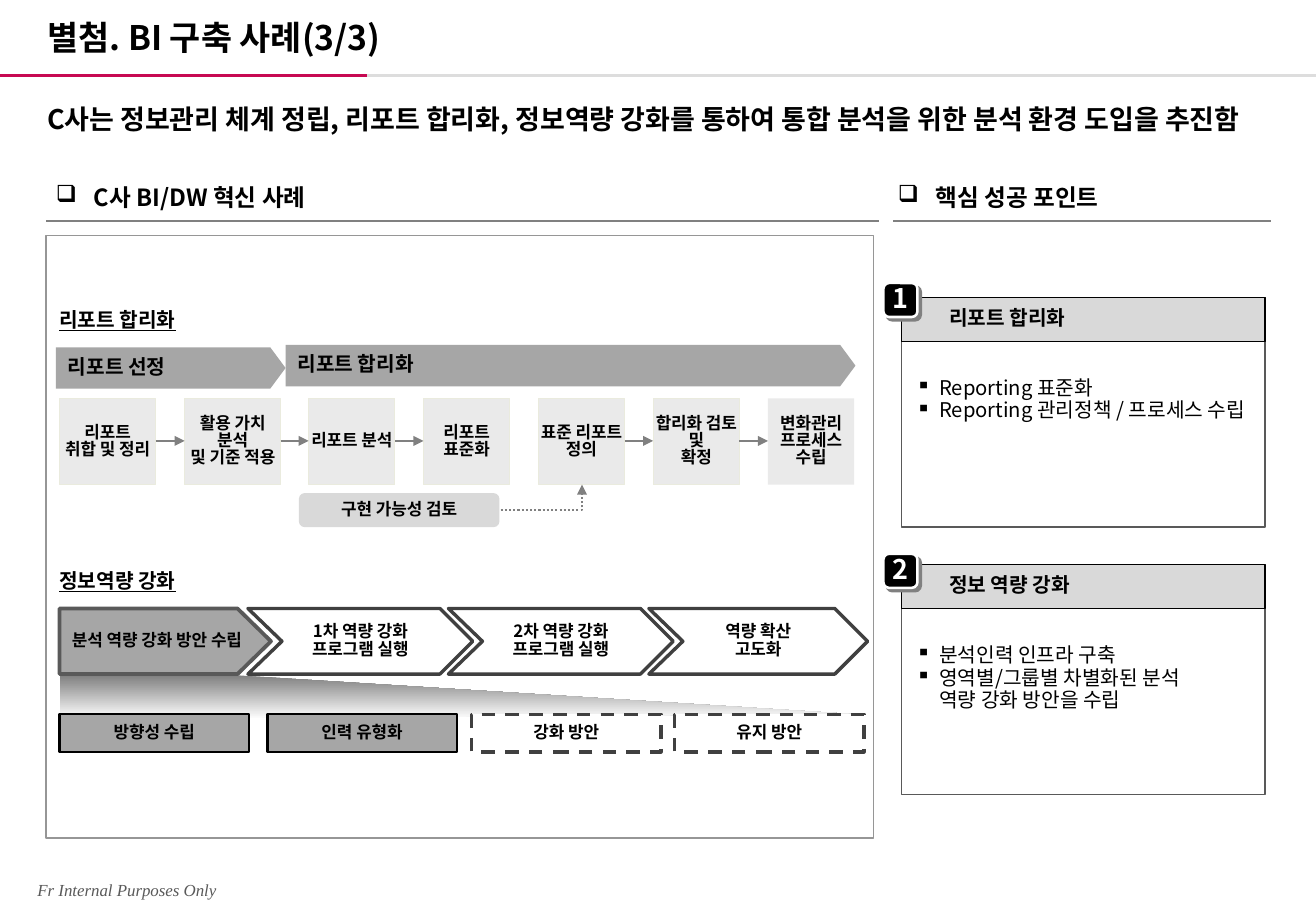
"""Build a slide on a BI case study with process flows and success points."""
from lxml import etree
from pptx import Presentation
from pptx.dml.color import RGBColor
from pptx.enum.dml import MSO_LINE
from pptx.enum.shapes import MSO_CONNECTOR, MSO_SHAPE
from pptx.enum.text import MSO_ANCHOR, PP_ALIGN
from pptx.oxml.ns import qn
from pptx.util import Inches, Pt

RECT, ROUND, PLATE = MSO_SHAPE.RECTANGLE, MSO_SHAPE.ROUNDED_RECTANGLE, MSO_SHAPE.PENTAGON
STRAIGHT, ELBOW = MSO_CONNECTOR.STRAIGHT, MSO_CONNECTOR.ELBOW
DASH, DOT = MSO_LINE.DASH, MSO_LINE.ROUND_DOT
TOP, MIDDLE, BOTTOM = MSO_ANCHOR.TOP, MSO_ANCHOR.MIDDLE, MSO_ANCHOR.BOTTOM
LEFT, CENTER, JUSTIFY = PP_ALIGN.LEFT, PP_ALIGN.CENTER, PP_ALIGN.JUSTIFY

BLACK = RGBColor(0x00, 0x00, 0x00)
WHITE = RGBColor(0xFF, 0xFF, 0xFF)
RED = RGBColor(0xC7, 0x09, 0x52)
DARK = RGBColor(0x40, 0x40, 0x40)
SLATE = RGBColor(0x59, 0x59, 0x59)
GRAY = RGBColor(0x80, 0x80, 0x80)
FRAME = RGBColor(0x96, 0x96, 0x96)
STEEL = RGBColor(0xA6, 0xA6, 0xA6)
SILVER = RGBColor(0xD9, 0xD9, 0xD9)
RULE = RGBColor(0xDD, 0xDD, 0xDD)
PALE = RGBColor(0xEA, 0xEA, 0xEA)
CREAM = RGBColor(0xEA, 0xEB, 0xDE)
SANS, SERIF = "Noto Sans CJK KR", "Times New Roman"


def write(frame, text, size=10, bold=True, color=BLACK, font=SANS, align=LEFT,
          anchor=TOP, inset=(0.1, 0.05), lead=0.84, gap=0, bullet=None,
          indent=0, italic=False, under=False):
    """Fill a text frame, one paragraph for each line of text."""
    frame.word_wrap = True
    frame.vertical_anchor = anchor
    frame.margin_left = frame.margin_right = Inches(inset[0])
    frame.margin_top = frame.margin_bottom = Inches(inset[1])
    for i, part in enumerate(text.split("\n")):
        para = frame.add_paragraph() if i else frame.paragraphs[0]
        if bullet:
            props = para._p.get_or_add_pPr()
            props.set("marL", str(Inches(indent)))
            props.set("indent", str(-Inches(indent)))
            etree.SubElement(props, qn("a:buChar")).set("char", bullet)
        para.alignment = align
        para.line_spacing = lead
        if i and gap:
            para.space_before = Pt(gap)
        run = para.add_run()
        run.text = part
        face = run.font
        face.size, face.bold, face.italic, face.name = Pt(size), bold, italic, font
        face.underline = under
        face.color.rgb = color
        etree.SubElement(run._r.get_or_add_rPr(), qn("a:ea")).set("typeface", font)


class Board:
    """Hold the slide and draw each kind of element on it."""

    def __init__(self, slide):
        self.shapes = slide.shapes

    def paint(self, shape, fill, line, width, dash=None):
        shape.shadow.inherit = False
        if fill is None:
            shape.fill.background()
        else:
            shape.fill.solid()
            shape.fill.fore_color.rgb = fill
        if line is None:
            shape.line.fill.background()
        else:
            shape.line.color.rgb = line
            shape.line.width = Pt(width)
            if dash:
                shape.line.dash_style = dash

    def text(self, box, text, **style):
        shape = self.shapes.add_textbox(*map(Inches, box))
        write(shape.text_frame, text, **style)

    def shape(self, kind, box, text="", fill=None, line=None, width=1, dash=None,
              bend=None, **style):
        shape = self.shapes.add_shape(kind, *map(Inches, box))
        self.paint(shape, fill, line, width, dash)
        if bend is not None:
            shape.adjustments[0] = bend
        if text:
            write(shape.text_frame, text, anchor=MIDDLE, **style)
        return shape

    def free(self, points, text="", fill=None, line=None, width=1, **style):
        start, *rest = [(Inches(x), Inches(y)) for x, y in points]
        maker = self.shapes.build_freeform(*start)
        maker.add_line_segments(rest, close=True)
        shape = maker.convert_to_shape()
        self.paint(shape, fill, line, width)
        if text:
            write(shape.text_frame, text, anchor=MIDDLE, **style)
        return shape

    def line(self, start, end, color, width, kind=STRAIGHT, dash=None, arrow=False):
        link = self.shapes.add_connector(kind, *map(Inches, start + end))
        link.line.color.rgb = color
        link.line.width = Pt(width)
        if dash:
            link.line.dash_style = dash
        props = link._element.spPr
        if kind == ELBOW:
            props.find(qn("a:prstGeom")).set("prst", "bentConnector2")
        if arrow:
            etree.SubElement(props.find(qn("a:ln")), qn("a:tailEnd")).set("type", "triangle")
        etree.SubElement(props, qn("a:effectLst"))

    def badge(self, x, y, text):
        shape = self.shape(ROUND, (x, y, 0.28, 0.28), text, fill=BLACK, line=WHITE,
                           width=1.5, size=16, color=WHITE, align=CENTER, inset=(0.02, 0.02))
        effects = shape._element.spPr.find(qn("a:effectLst"))
        shade = etree.SubElement(effects, qn("a:outerShdw"), blurRad="0",
                                 dist=str(Pt(2.8)), dir="2700000", algn="ctr", rotWithShape="0")
        etree.SubElement(shade, qn("a:srgbClr")).set("val", str(GRAY))

    def panel(self, y, mark, head, body, top, wide):
        self.shape(RECT, (7.42, y, 2.99, 1.89), fill=WHITE, line=SLATE)
        self.shape(RECT, (7.42, y, 2.99, 0.36), head, fill=SILVER, line=BLACK,
                   width=0.75, size=12, inset=(0.39, 0.05))
        self.badge(7.27, top, mark)
        self.text((7.54, y + 0.66, wide, 0.67), body, size=12, bold=False,
                  inset=(0, 0), lead=0.92, bullet="▪", indent=0.19)


def draw_head(board):
    board.text((0.21, 7.19, 2.68, 0.27), "Fr Internal Purposes Only", bold=False,
               italic=True, font=SERIF, color=SLATE, lead=1)
    board.line((0, 0.62), (3.02, 0.62), RED, 1.5)
    board.line((3.02, 0.62), (10.83, 0.62), RULE, 1.5)
    board.text((0.29, 0.07, 5.92, 0.45), "별첨. BI 구축 사례(3/3)", size=20, anchor=BOTTOM)
    board.text((0.29, 0.84, 10.26, 0.67),
               "C사는 정보관리 체계 정립, 리포트 합리화, 정보역량 강화를 통하여 "
               "통합 분석을 위한 분석 환경 도입을 추진함", size=16, align=JUSTIFY)
    for x, label, left, right in [(0.46, "C사 BI/DW 혁신 사례", 0.38, 7.23),
                                  (7.39, "핵심 성공 포인트", 7.35, 10.46)]:
        board.text((x, 1.54, 2.9, 0.24), label, size=14, inset=(0, 0), bullet="❑", indent=0.31)
        board.line((left, 1.82), (right, 1.82), GRAY, 1.5)


def draw_report(board):
    board.text((0.39, 2.51, 1.26, 0.3), "리포트 합리화", size=12, under=True)
    board.shape(PLATE, (0.46, 2.86, 1.89, 0.34), "리포트 선정", fill=STEEL, bend=0.37, size=12)
    board.shape(PLATE, (2.35, 2.84, 4.69, 0.34), "리포트 합리화", fill=STEEL, bend=0.37, size=12)
    steps = ["리포트\n취합 및 정리", "활용 가치 분석\n및 기준 적용", "리포트 분석", "리포트 표준화",
             "표준 리포트 정의", "합리화 검토 및\n확정", "변화관리\n프로세스 수립"]
    spots = [(0.49, 0.79), (1.52, 0.79)] + [(2.54 + 0.945 * i, 0.71) for i in range(5)]
    for i, (label, (x, wide)) in enumerate(zip(steps, spots)):
        board.shape(RECT, (x, 3.28, wide, 0.71), label, fill=PALE,
                    line=None if i == 6 else CREAM, width=0.75, align=CENTER, inset=(0, 0))
    for i, (x, wide) in enumerate(spots[:-1]):
        if i != 3:
            board.line((x + wide, 3.63), (spots[i + 1][0], 3.63), GRAY, 0.75, arrow=True)
    board.shape(ROUND, (2.46, 4.06, 1.65, 0.28), "구현 가능성 검토", fill=SILVER, align=CENTER)
    board.line((4.12, 4.2), (4.79, 3.99), GRAY, 1.25, kind=ELBOW, dash=DOT, arrow=True)


def draw_skill(board):
    board.text((0.39, 4.66, 1.26, 0.3), "정보역량 강화", size=12, under=True)
    wedge = board.free([(0.49, 5.56), (1.95, 5.56), (7.03, 5.88), (0.49, 5.92)], fill=GRAY)
    wedge.fill.gradient()
    wedge.fill.gradient_angle = 270
    for stop, color in zip(wedge.fill.gradient_stops, (GRAY, WHITE)):
        stop.color.rgb = color
    style = {"align": CENTER, "inset": (0.04, 0.04)}
    stages = ["1차 역량 강화\n프로그램 실행", "2차 역량 강화\n프로그램 실행", "역량 확산\n고도화"]
    for i, (label, wide) in reversed(list(enumerate(zip(stages, (1.85, 1.85, 1.8))))):
        x = 2.04 + 1.65 * i
        tip = x + wide
        board.free([(x, 5.01), (tip - 0.27, 5.01), (tip, 5.28), (tip - 0.27, 5.55),
                    (x, 5.55), (x + 0.28, 5.28)], label, fill=WHITE, line=DARK,
                   width=2, gap=1, **style)
    board.shape(PLATE, (0.49, 5.01, 1.74, 0.54), "분석 역량 강화 방안 수립", fill=STEEL,
                line=SLATE, width=2.25, bend=0.51, **style)
    solid, dashed = (STEEL, BLACK, 1.5, None), (WHITE, DARK, 2, DASH)
    for x, label, (fill, line, width, dash) in [
            (0.49, "방향성 수립", solid), (2.2, "인력 유형화", solid),
            (3.88, "강화 방안", dashed), (5.55, "유지 방안", dashed)]:
        board.shape(RECT, (x, 5.88, 1.56, 0.31), label, fill=fill, line=line,
                    width=width, dash=dash, **style)


def main():
    deck = Presentation()
    deck.slide_width, deck.slide_height = Inches(10.83), Inches(7.5)
    board = Board(deck.slides.add_slide(deck.slide_layouts[6]))
    draw_head(board)
    board.shape(RECT, (0.38, 1.94, 6.81, 4.96), line=FRAME)
    draw_report(board)
    draw_skill(board)
    board.panel(2.45, "1", "리포트 합리화",
                "Reporting 표준화\nReporting 관리정책 / 프로세스 수립", 2.33, 2.87)
    board.panel(4.65, "2", "정보 역량 강화",
                "분석인력 인프라 구축\n영역별/그룹별 차별화된 분석 역량 강화 방안을 수립", 4.56, 2.45)
    deck.save("out.pptx")


if __name__ == "__main__":
    main()
